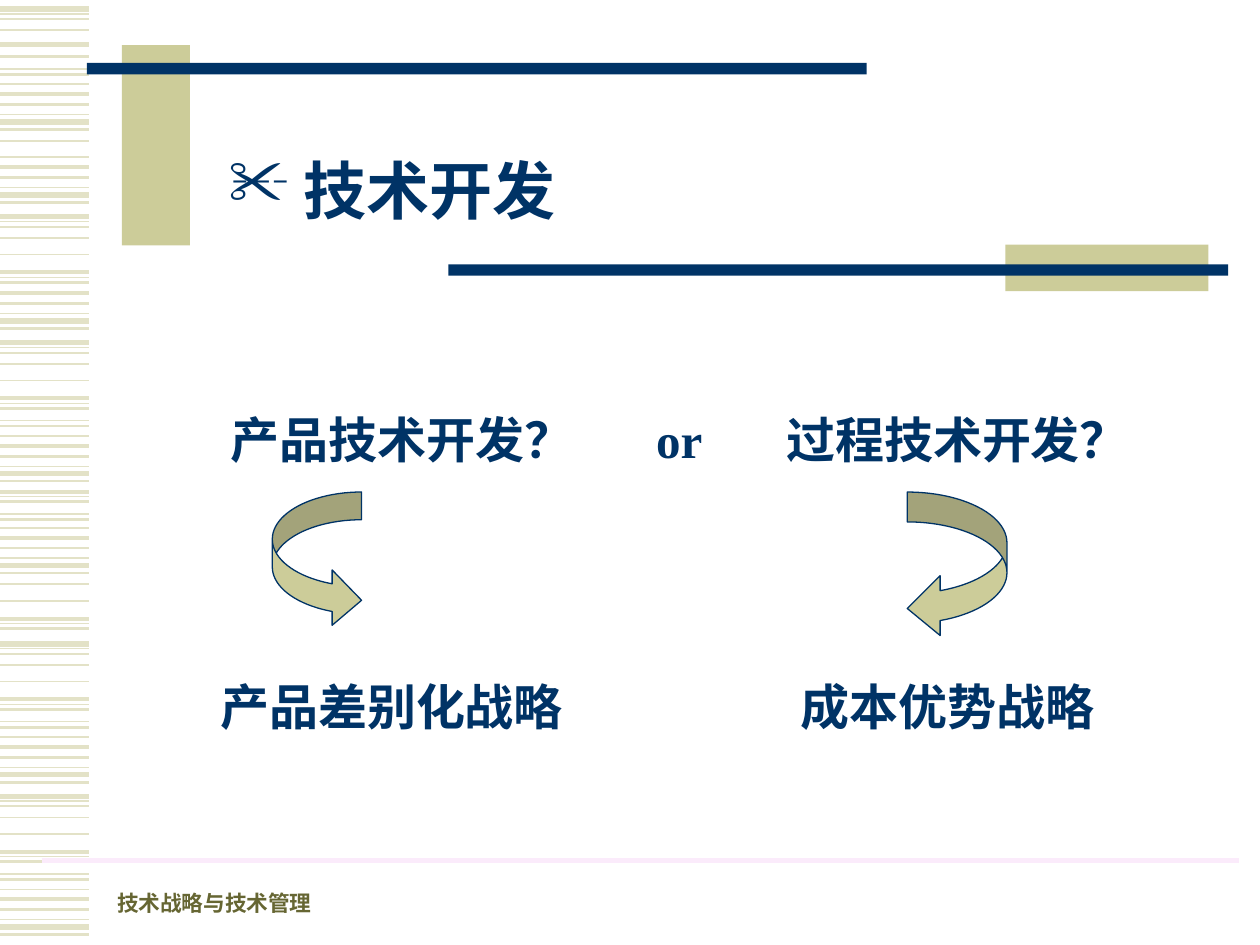
from lxml import etree
from pptx import Presentation
from pptx.dml.color import RGBColor
from pptx.enum.lang import MSO_LANGUAGE_ID
from pptx.enum.shapes import MSO_CONNECTOR, MSO_SHAPE
from pptx.enum.text import MSO_ANCHOR, PP_ALIGN
from pptx.oxml.ns import qn
from pptx.util import Cm, Pt

STRAIGHT = MSO_CONNECTOR.STRAIGHT
RECT = MSO_SHAPE.RECTANGLE
RIGHT_ARROW = MSO_SHAPE.CURVED_RIGHT_ARROW
LEFT_ARROW = MSO_SHAPE.CURVED_LEFT_ARROW
TOP, BOTTOM = MSO_ANCHOR.TOP, MSO_ANCHOR.BOTTOM
LEFT, CENTER = PP_ALIGN.LEFT, PP_ALIGN.CENTER
CHINESE = MSO_LANGUAGE_ID.SIMPLIFIED_CHINESE

FONT = "Times New Roman"
COLORS = {"stripe": "E3E2C7", "sand": "CCCC99", "navy": "003366",
          "pink": "FBEBFB", "olive": "666633"}

# (offset, weight) of each stripe, then (top, first, last) of each run of them
SHORT_MOTIF = [(-0.61, 1), (-0.41, 2.25), (-0.2, 1.5), (0, 0.75), (0.15, 3), (0.3, 1.5)]
SHORT_RUNS = [(18.54, 0, 6), (15.47, 0, 6), (11.25, 0, 6), (9.4, 0, 6),
              (6.32, 1, 6), (3.78, 0, 6), (2.31, 0, 6)]
LONG_MOTIF = [(0, 3), (0.1, 0.75), (0.2, 1), (0.43, 1), (0.76, 1),
              (1.12, 2.25), (1.22, 0.75), (1.32, 1.5), (1.57, 0.75), (1.68, 1.5)]
LONG_RUNS = [(16.05, 0, 10), (12.98, 0, 10), (11.35, 3, 8), (8.79, 5, 10),
             (6.91, 0, 10), (4.37, 0, 8), (2.08, 4, 5), (0.89, 0, 1),
             (0.18, 0, 4), (-0.18, 7, 10)]
STRIPE_WIDTH = 1.8

BARS = [(2.46, 0.91, 1.37, 4.04, "sand"), (1.75, 1.27, 15.72, 0.23, "navy"),
        (20.27, 4.93, 4.09, 0.94, "sand"), (9.04, 5.33, 15.72, 0.23, "navy")]

ARROWS = [(RIGHT_ARROW, 5.49, 9.92, 1.8, 2.74, (0.31, 0.62, 0.33)),
          (LEFT_ARROW, 18.29, 9.92, 2.01, 2.95, (0.3, 0.6, 0.33))]

FOOTER = ("技术战略与技术管理", 2.11, 17.73, 6.6, 0.86, 12.4, "olive", LEFT, BOTTOM)
TITLE = (" 技术开发", 4.22, 2.92, 7.37, 1.78, 36, "navy", CENTER, TOP)
LABELS = [("产品技术开发？", 3.51, 8.13, 9.19), ("过程技术开发？", 14.71, 8.13, 9.19),
          ("产品差别化战略", 3.3, 13.51, 9.19), ("成本优势战略", 14.5, 13.51, 9.19),
          ("or", 12.5, 8.13, 2.39)]


def rgb(name):
    return RGBColor.from_string(COLORS[name])


def add_line(x1, x2, y, color, weight):
    s = shapes.add_connector(STRAIGHT, Cm(x1), Cm(y), Cm(x2), Cm(y))
    s.line.color.rgb = rgb(color)
    s.line.width = Pt(weight)
    etree.SubElement(s._element.spPr, qn("a:effectLst"))


def add_filled(kind, x, y, w, h, color):
    s = shapes.add_shape(kind, Cm(x), Cm(y), Cm(w), Cm(h))
    s.shadow.inherit = False
    s.fill.solid()
    s.fill.fore_color.rgb = rgb(color)
    s.line.fill.background()
    return s


def add_text(text, x, y, w, h, size, color, align, anchor):
    tf = shapes.add_textbox(Cm(x), Cm(y), Cm(w), Cm(h)).text_frame
    tf.word_wrap = True
    tf.vertical_anchor = anchor
    p = tf.paragraphs[0]
    p.text = text
    p.alignment = align
    f = p.runs[0].font
    f.name, f.size, f.bold = FONT, Pt(size), True
    f.color.rgb = rgb(color)
    f.language_id = CHINESE
    return p


def add_bullet(p, char, indent):
    pPr = p._p.get_or_add_pPr()
    pPr.set("marL", str(Cm(indent)))
    pPr.set("indent", str(-Cm(indent)))
    etree.SubElement(pPr, qn("a:buChar")).set("char", char)


prs = Presentation()
prs.slide_width, prs.slide_height = Cm(25.4), Cm(19.05)
shapes = prs.slides.add_slide(prs.slide_layouts[6]).shapes

for motif, runs in ((SHORT_MOTIF, SHORT_RUNS), (LONG_MOTIF, LONG_RUNS)):
    for top, first, last in runs:
        for offset, weight in motif[first:last]:
            add_line(0, STRIPE_WIDTH, top + offset, "stripe", weight)

for bar in BARS:
    add_filled(RECT, *bar)
add_line(0.84, 24.97, 17.35, "pink", 3)

add_text(*FOOTER)
add_bullet(add_text(*TITLE), "✂", 0.64)
for text, x, y, w in LABELS:
    add_text(text, x, y, w, 1.45, 28, "navy", CENTER, TOP)

for kind, x, y, w, h, adjustments in ARROWS:
    s = add_filled(kind, x, y, w, h, "sand")
    s.line.color.rgb = rgb("navy")
    s.line.width = Pt(0.75)
    for i, value in enumerate(adjustments):
        s.adjustments[i] = value

prs.save("out.pptx")
